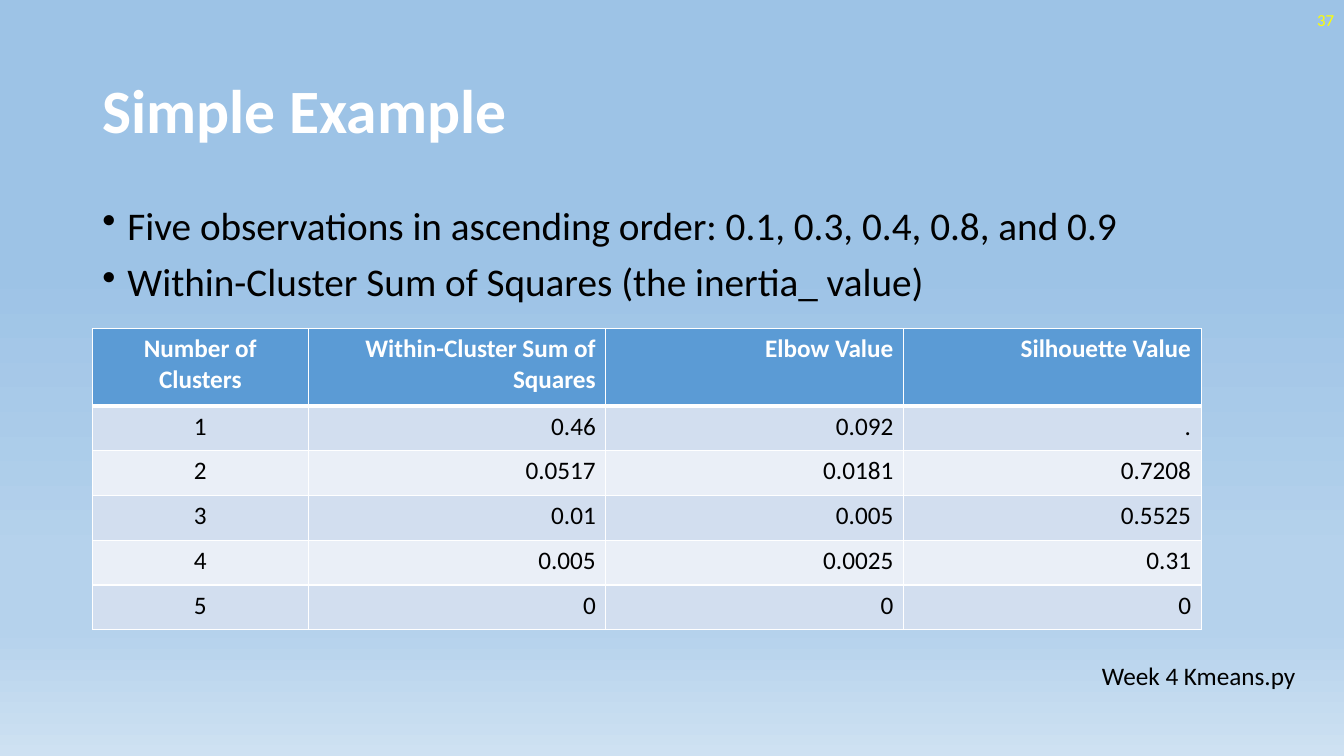
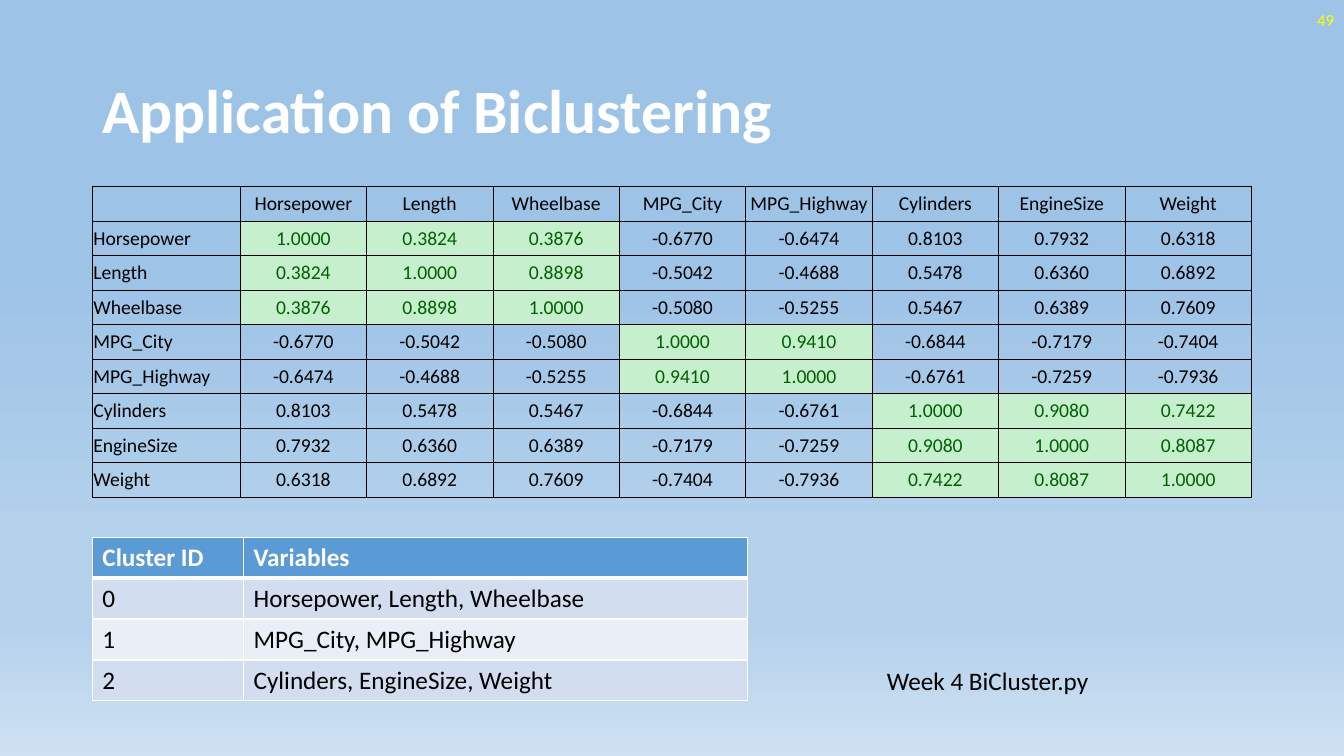
"""Builds two slides on choosing and applying clusters."""
from itertools import chain

from lxml import etree
from pptx import Presentation
from pptx import util as u
from pptx.dml import color as dml
from pptx.enum import text as t
from pptx.oxml import ns

COLORS = {
    "white": "FFFFFF", "black": "000000", "number": "FFFF00",
    "head": "5B9BD5", "odd": "D2DEEF", "even": "EAEFF7",
    "match": "C6EFCE", "match_text": "006100",
    "sky": "9DC3E6", "haze": "B5D2EC", "horizon": "CEE1F2",
}
BACKDROP = [(35, "sky"), (74, "haze"), (83, "haze"), (100, "horizon")]
FONT = "Calibri"
LEFT, WIDTH = 66, 828
L, C, R = t.PP_ALIGN.LEFT, t.PP_ALIGN.CENTER, t.PP_ALIGN.RIGHT
MIDDLE, TOP = t.MSO_ANCHOR.MIDDLE, t.MSO_ANCHOR.TOP

SCORES = [
    ["Number of Clusters", "Within-Cluster Sum of Squares", "Elbow Value", "Silhouette Value"],
    ["1", "0.46", "0.092", "."],
    ["2", "0.0517", "0.0181", "0.7208"],
    ["3", "0.01", "0.005", "0.5525"],
    ["4", "0.005", "0.0025", "0.31"],
    ["5", "0", "0", "0"],
]
CLUSTERS = [
    ["Horsepower", "Length", "Wheelbase"],
    ["MPG_City", "MPG_Highway"],
    ["Cylinders", "EngineSize", "Weight"],
]
UPPER_TRIANGLE = [
    [1, 0.3824, 0.3876, -0.6770, -0.6474, 0.8103, 0.7932, 0.6318],
    [1, 0.8898, -0.5042, -0.4688, 0.5478, 0.6360, 0.6892],
    [1, -0.5080, -0.5255, 0.5467, 0.6389, 0.7609],
    [1, 0.9410, -0.6844, -0.7179, -0.7404],
    [1, -0.6761, -0.7259, -0.7936],
    [1, 0.9080, 0.7422],
    [1, 0.8087],
    [1],
]


def rgb(name):
    return dml.RGBColor.from_string(COLORS[name])


def write(para, text, size=18, color="black", bold=False, align=L,
          spacing=None, before=None, indent=0, bullet=None):
    para.alignment = align
    para.line_spacing = spacing
    if before is not None:
        para.space_before = u.Pt(before)
    span = para.add_run()
    span.text = text
    span.font.name = FONT
    span.font.size = u.Pt(size)
    span.font.bold = bold
    span.font.color.rgb = rgb(color)
    if indent:
        layout = para._p.get_or_add_pPr()
        layout.set("marL", str(u.Pt(indent)))
        if bullet:
            layout.set("indent", str(-u.Pt(indent)))
            etree.SubElement(layout, ns.qn("a:buChar"), char=bullet)


def add_text(page, lines, left, top, width, height, anchor=TOP, wrap=True, **style):
    box = page.shapes.add_textbox(*map(u.Pt, (left, top, width, height)))
    frame = box.text_frame
    frame.word_wrap = wrap
    frame.vertical_anchor = anchor
    for index, line in enumerate(lines):
        para = frame.add_paragraph() if index else frame.paragraphs[0]
        write(para, line, **style)


def set_borders(cell, color, left=1, right=1, top=1, bottom=1):
    properties = cell._tc.get_or_add_tcPr()
    sides = zip(("L", "R", "T", "B"), (left, right, top, bottom))
    for index, (side, weight) in enumerate(sides):
        line = etree.Element(ns.qn(f"a:ln{side}"), w=str(u.Pt(weight)))
        fill = etree.SubElement(line, ns.qn("a:solidFill"))
        etree.SubElement(fill, ns.qn("a:srgbClr"), val=COLORS[color])
        properties.insert(index, line)


def add_grid(page, rows, top, widths, row_heights, look):
    frame = page.shapes.add_table(
        len(rows), len(widths),
        *map(u.Pt, (LEFT, top, sum(widths), sum(row_heights))))
    table = frame.table
    table.first_row = table.horz_banding = False
    for column, width in zip(table.columns, widths):
        column.width = u.Pt(width)
    for r, (values, height) in enumerate(zip(rows, row_heights)):
        table.rows[r].height = u.Pt(height)
        for c, value in enumerate(values):
            look(table.cell(r, c), r, c, value)


def banded(aligns):
    def look(cell, row, column, value):
        head = row == 0
        cell.fill.solid()
        cell.fill.fore_color.rgb = rgb("head" if head else "odd" if row % 2 else "even")
        set_borders(cell, "white", top=3 if row == 1 else 1, bottom=3 if head else 1)
        write(cell.text_frame.paragraphs[0], value, bold=head,
              color="white" if head else "black", align=aligns[column])
    return look


def correlation_look(cell, row, column, value):
    group = {name: i for i, names in enumerate(CLUSTERS) for name in names}
    names = list(group)
    match = row and column and group[names[row - 1]] == group[names[column - 1]]
    if match:
        cell.fill.solid()
        cell.fill.fore_color.rgb = rgb("match")
    else:
        cell.fill.background()
    cell.margin_left = cell.margin_right = cell.margin_top = u.Pt(0.7)
    cell.margin_bottom = u.Pt(0)
    cell.vertical_anchor = MIDDLE
    set_borders(cell, "black", 0.5, 0.5, 0.5, 0.5)
    write(cell.text_frame.paragraphs[0], value, size=14, align=C if column else L,
          color="match_text" if match else "black")


def correlation_rows():
    names = list(chain.from_iterable(CLUSTERS))
    rows = [["", *names]]
    for r, name in enumerate(names):
        pairs = [sorted((r, c)) for c in range(len(names))]
        rows.append([name, *(f"{UPPER_TRIANGLE[a][b - a]:.4f}" for a, b in pairs)])
    return rows


def paint_backdrop(master):
    fill = master.background.fill
    fill.gradient()
    fill.gradient_angle = 270
    stops = master.element.find(".//" + ns.qn("a:gsLst"))
    for stop in list(stops):
        stops.remove(stop)
    for percent, name in BACKDROP:
        stop = etree.SubElement(stops, ns.qn("a:gs"), pos=str(percent * 1000))
        etree.SubElement(stop, ns.qn("a:srgbClr"), val=COLORS[name])


def add_page(deck, title, number):
    page = deck.slides.add_slide(deck.slide_layouts[6])
    add_text(page, [title], LEFT, 28.8, WIDTH, 104.4, anchor=MIDDLE,
             size=44, color="white", bold=True, spacing=0.9)
    add_text(page, [number], 744, 0, 216, 28.8, anchor=MIDDLE,
             size=12, color="number", align=R)
    return page


def add_example(deck):
    page = add_page(deck, "Simple Example", "37")
    add_text(page, [
        "Five observations in ascending order: 0.1, 0.3, 0.4, 0.8, and 0.9",
        "Within-Cluster Sum of Squares (the inertia_ value)",
    ], LEFT, 144, WIDTH, 342.7, size=28, spacing=0.9, before=10, indent=18, bullet="•")
    add_text(page, ["Week 4 Kmeans.py"], 744, 468, 190.8, 29, wrap=False, indent=36)
    add_grid(page, SCORES, 234.7, [154.2] + [212.6] * 3, [55.3] + [32] * 5,
             banded([C, R, R, R]))


def add_application(deck):
    page = add_page(deck, "Application of Biclustering", "49")
    members = [[str(i), ", ".join(names)] for i, names in enumerate(CLUSTERS)]
    add_grid(page, [["Cluster ID", "Variables"], *members], 383.8,
             [108, 360], [29.2] * 4, banded([L, L]))
    add_text(page, ["Week 4 BiCluster.py"], 626.4, 471.6, 159.8, 29, wrap=False)
    add_grid(page, correlation_rows(), 133.2, [105.6] + [90.3] * 8, [24.64] * 9,
             correlation_look)


def main():
    deck = Presentation()
    deck.slide_width, deck.slide_height = u.Pt(960), u.Pt(540)
    paint_backdrop(deck.slide_master)
    add_example(deck)
    add_application(deck)
    deck.save("out.pptx")


if __name__ == "__main__":
    main()
